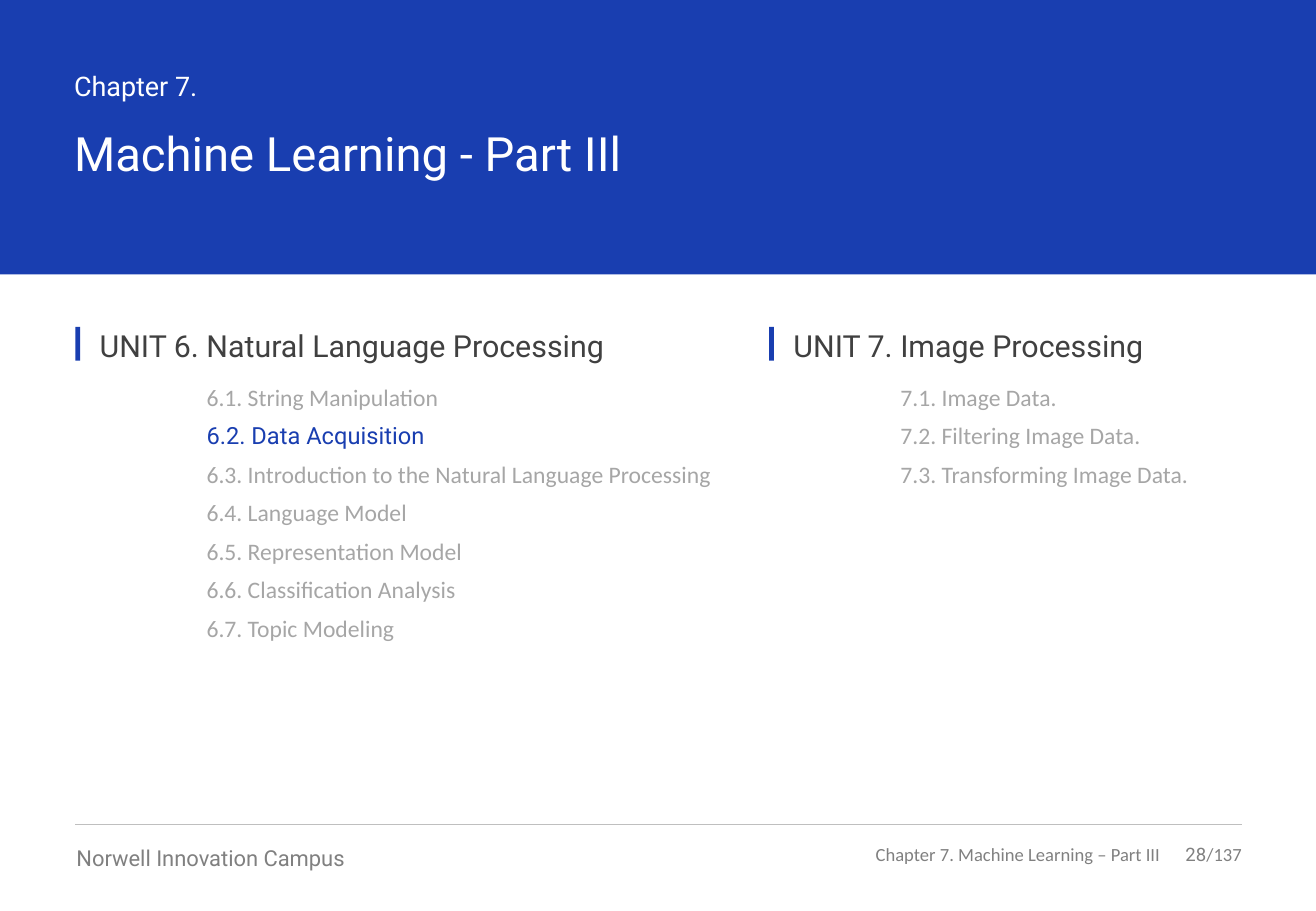
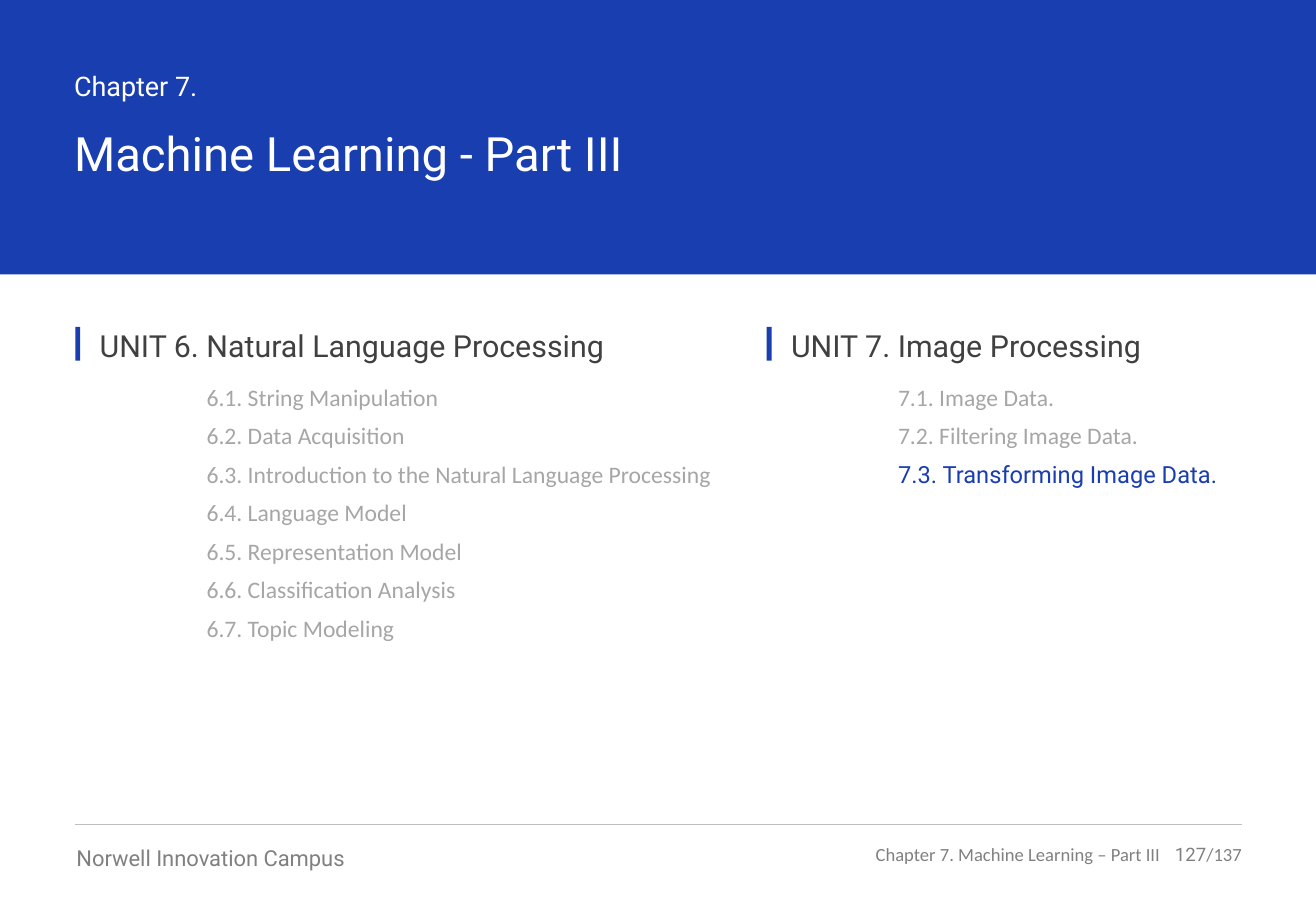
import dataclasses

import lxml.etree
import pptx
import pptx.dml.color
import pptx.enum.shapes
import pptx.enum.text
import pptx.oxml.ns
import pptx.util

EMU_PER_PX = 9144
SLIDE_W, SLIDE_H = 1083, 750
MARGIN, RIGHT = 62, 1022
BLUE, WHITE, RULE = "193EB0", "FFFFFF", "BFBFBF"
DARK, GREY, PALE = "404040", "808080", "A6A6A6"
HEAD_FONT, BODY_FONT = "Roboto", "Calibri"
TOP = pptx.enum.text.MSO_ANCHOR.TOP
MIDDLE = pptx.enum.text.MSO_ANCHOR.MIDDLE
ALIGN = pptx.enum.text.PP_ALIGN


@dataclasses.dataclass(frozen=True)
class Box:
    x: int
    y: int
    w: int
    h: int


@dataclasses.dataclass(frozen=True)
class Style:
    size: int
    font: str
    color: str


@dataclasses.dataclass(frozen=True)
class Unit:
    title: str
    items: tuple[str, ...]
    width: int


@dataclasses.dataclass(frozen=True)
class Agenda:
    title: str
    current: str
    page: int
    unit_xs: tuple[int, int]


CHAPTER = Style(16, HEAD_FONT, WHITE)
TITLE = Style(28, HEAD_FONT, WHITE)
UNIT = Style(18, HEAD_FONT, DARK)
ITEM = Style(14, BODY_FONT, PALE)
CURRENT = Style(14, HEAD_FONT, BLUE)
CAMPUS = Style(13, HEAD_FONT, GREY)
PAGE = Style(11, HEAD_FONT, GREY)
FOOTER = Style(11, BODY_FONT, GREY)

UNITS = (
    Unit("UNIT 6. Natural Language Processing", (
        "6.1. String Manipulation",
        "6.2. Data Acquisition",
        "6.3. Introduction to the Natural Language Processing",
        "6.4. Language Model",
        "6.5. Representation Model",
        "6.6. Classification Analysis",
        "6.7. Topic Modeling",
    ), 595),
    Unit("UNIT 7. Image Processing", (
        "7.1. Image Data.",
        "7.2. Filtering Image Data.",
        "7.3. Transforming Image Data.",
    ), 389),
)
AGENDAS = (
    Agenda("Machine Learning - Part IIl", "6.2.", 28, (MARGIN, 633)),
    Agenda("Machine Learning - Part III", "7.3.", 127, (MARGIN, 631)),
)
PAGE_COUNT = 137


def px(n: int) -> pptx.util.Emu:
    return pptx.util.Emu(n * EMU_PER_PX)


def rgb(color: str) -> pptx.dml.color.RGBColor:
    return pptx.dml.color.RGBColor.from_string(color)


def apply_style(r, style: Style) -> None:
    r.font.size = pptx.util.Pt(style.size)
    r.font.name = style.font
    r.font.color.rgb = rgb(style.color)


def add_rect(s, box: Box) -> None:
    sp = s.shapes.add_shape(pptx.enum.shapes.MSO_SHAPE.RECTANGLE,
                            px(box.x), px(box.y), px(box.w), px(box.h))
    sp.shadow.inherit = False
    sp.fill.solid()
    sp.fill.fore_color.rgb = rgb(BLUE)
    sp.line.fill.background()


def add_text(s, box: Box, text: str, style: Style, anchor=TOP,
             align=ALIGN.LEFT, wrap: bool = True, after: int = 0):
    tf = s.shapes.add_textbox(px(box.x), px(box.y), px(box.w), px(box.h)).text_frame
    tf.margin_left = tf.margin_top = tf.margin_right = tf.margin_bottom = 0
    tf.word_wrap = wrap
    tf.auto_size = pptx.enum.text.MSO_AUTO_SIZE.SHAPE_TO_FIT_TEXT
    tf.vertical_anchor = anchor
    tf.text = text
    for p in tf.paragraphs:
        p.alignment = align
        p.space_after = pptx.util.Pt(after)
        for r in p.runs:
            apply_style(r, style)
    return tf


def add_rule(s, y: int) -> None:
    line = s.shapes.add_connector(pptx.enum.shapes.MSO_CONNECTOR.STRAIGHT,
                                  px(MARGIN), px(y), px(RIGHT), px(y))
    line.line.color.rgb = rgb(RULE)
    line.line.width = pptx.util.Pt(0.5)
    lxml.etree.SubElement(line._element.spPr, pptx.oxml.ns.qn("a:effectLst"))


def add_frame(s, page: int) -> None:
    add_rect(s, Box(0, 0, SLIDE_W, 226))
    add_rule(s, 679)
    add_text(s, Box(63, 695, 316, 22), "Norwell Innovation Campus", CAMPUS)
    tf = add_text(s, Box(955, 694, 67, 19), str(page), PAGE, MIDDLE, ALIGN.RIGHT)
    r = tf.paragraphs[0].add_run()
    r.text = f"/{PAGE_COUNT}"
    apply_style(r, FOOTER)
    add_text(s, Box(700, 694, 255, 19), "Chapter 7. Machine Learning – Part III",
             FOOTER, MIDDLE, ALIGN.RIGHT, wrap=False)


def add_unit(s, x: int, unit: Unit, current: str) -> None:
    add_text(s, Box(x + 20, 269, unit.width - 20, 30), unit.title, UNIT, MIDDLE, after=6)
    add_rect(s, Box(x, 269, 4, 28))
    tf = add_text(s, Box(x + 108, 315, unit.width - 108, 32 * len(unit.items) - 8),
                  "\n".join(unit.items), ITEM, after=6)
    for p in tf.paragraphs:
        if p.text.startswith(current):
            apply_style(p.runs[0], CURRENT)


def add_agenda(prs, agenda: Agenda) -> None:
    s = prs.slides.add_slide(prs.slide_layouts[6])
    add_frame(s, agenda.page)
    add_text(s, Box(61, 102, 549, 47), agenda.title, TITLE)
    add_text(s, Box(61, 57, 118, 27), "Chapter 7.", CHAPTER, wrap=False)
    for x, unit in zip(agenda.unit_xs, UNITS):
        add_unit(s, x, unit, agenda.current)


def main() -> None:
    prs = pptx.Presentation()
    prs.slide_width, prs.slide_height = px(SLIDE_W), px(SLIDE_H)
    for agenda in AGENDAS:
        add_agenda(prs, agenda)
    prs.save("out.pptx")


if __name__ == "__main__":
    main()
